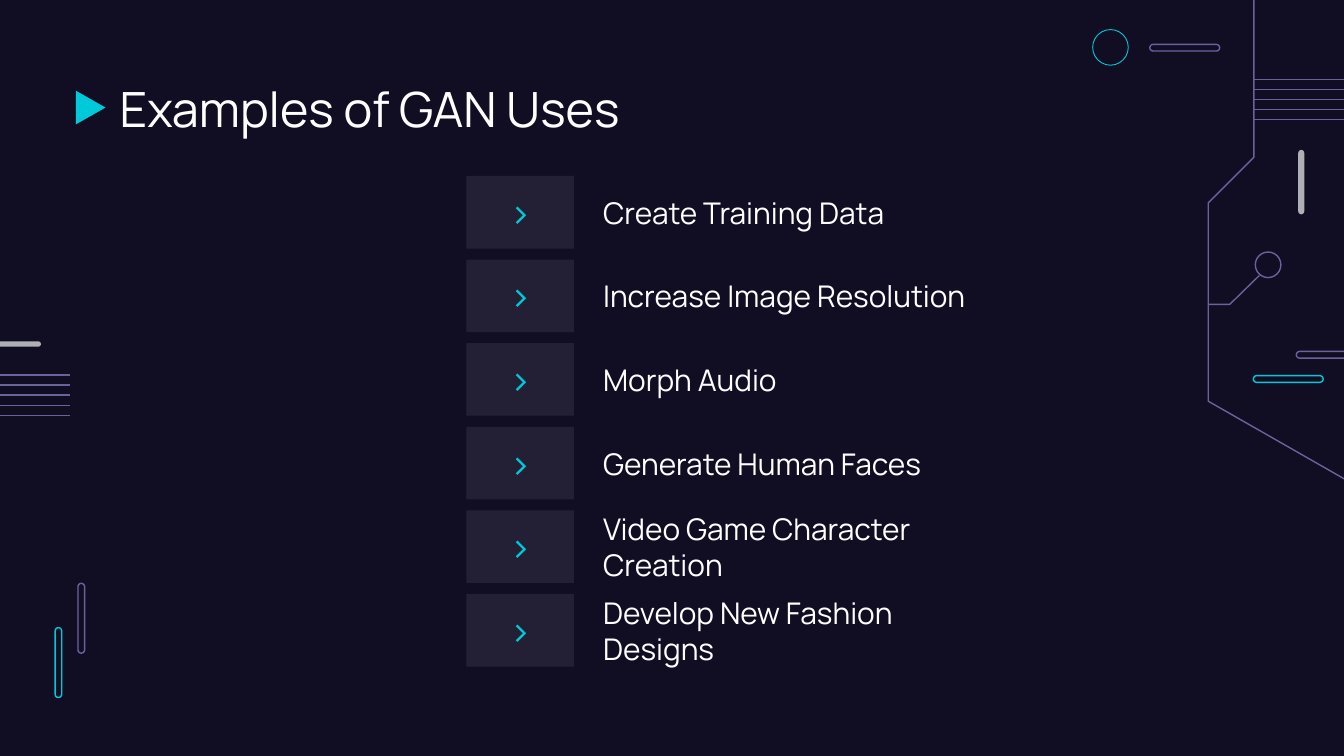
"""Build the slide listing uses of GANs on a dark circuit-style backdrop."""
from typing import NamedTuple, Optional

from lxml import etree
from pptx import Presentation
from pptx import util as u
from pptx.dml.color import RGBColor
from pptx.enum import shapes, text
from pptx.oxml import ns

WIDTH = u.Inches(10)
HEIGHT = WIDTH * 9 // 16
FONT = "Manrope"
NIGHT, CYAN, VIOLET, GREY, WHITE = "110E24", "00CADA", "69639C", "AFAFB6", "FFFFFF"
KIND = shapes.MSO_SHAPE

USES = [
    "Create Training Data",
    "Increase Image Resolution",
    "Morph Audio",
    "Generate Human Faces",
    "Video Game Character Creation",
    "Develop New Fashion Designs",
]
ROW_TOP, ROW_PITCH, ROW_HEIGHT = 13.1, 6.22, 5.4
MARK_LEFT, MARK_WIDTH, USE_LEFT, USE_WIDTH = 34.7, 8, 43.9, 29.7


class Box(NamedTuple):
    """A rectangle in hundredths of the slide width."""

    left: float
    top: float
    width: float
    height: float


class Ornament(NamedTuple):
    """A backdrop shape, filled or outlined."""

    kind: int
    box: Box
    fill: Optional[str] = None
    line: Optional[str] = None
    weight: float = 0.75
    turn: float = 0


class Stripes(NamedTuple):
    """A run of evenly spaced horizontal lines."""

    start: float
    end: float
    top: float


ORNAMENTS = [
    Ornament(KIND.ROUNDED_RECTANGLE, Box(4.1, 46.7, 0.5, 5.2), line=CYAN),
    Ornament(KIND.ROUNDED_RECTANGLE, Box(5.8, 43.4, 0.5, 5.2), line=VIOLET),
    Ornament(KIND.ROUNDED_RECTANGLE, Box(93.25, 27.95, 5.2, 0.5), line=CYAN),
    Ornament(KIND.ROUNDED_RECTANGLE, Box(96.45, 26.15, 5.2, 0.5), line=VIOLET),
    Ornament(KIND.ROUNDED_RECTANGLE, Box(85.55, 3.3, 5.2, 0.5), line=VIOLET),
    Ornament(KIND.OVAL, Box(81.3, 2.2, 2.65, 2.65), line=CYAN, weight=0.47),
    Ornament(KIND.OVAL, Box(93.4, 18.75, 1.9, 1.9), line=VIOLET),
    Ornament(KIND.ROUNDED_RECTANGLE, Box(96.6, 11.15, 0.45, 4.8), fill=GREY),
    Ornament(KIND.ROUNDED_RECTANGLE, Box(-1.8, 25.4, 4.85, 0.4), fill=GREY),
    Ornament(KIND.FLOWCHART_MERGE, Box(5.5, 6.9, 2.5, 2.2), fill=CYAN, turn=270),
]
CIRCUITS = [
    [(93.7, 20.5), (91.5, 22.65), (89.9, 22.65)],
    [(101.2, 36.3), (89.9, 29.85), (89.9, 15.1), (93.3, 11.7), (93.3, -0.6)],
]
STRIPES = [Stripes(93.3, 108, 5.9), Stripes(5.2, -6.1, 27.9)]
STRIPE_COUNT, STRIPE_GAP = 5, 0.75


def pc(share: float) -> int:
    """Turn hundredths of the slide width into a length."""
    return round(WIDTH * share / 100)


def rgb(value: str) -> RGBColor:
    """Turn a hex string into a colour."""
    return RGBColor.from_string(value)


def paint(sp, fill: Optional[str], line: Optional[str], weight: float = 0.75) -> None:
    """Give a shape its fill and outline, and take away its shadow."""
    sp.shadow.inherit = False
    for part, colour in ((sp.fill, fill), (sp.line.fill, line)):
        if colour:
            part.solid()
            part.fore_color.rgb = rgb(colour)
        else:
            part.background()
    if line:
        sp.line.width = u.Pt(weight)


def write(sp, words: str, size: float, colour: str, align=text.PP_ALIGN.LEFT) -> None:
    """Put one formatted paragraph, centred vertically, into a shape."""
    tf = sp.text_frame
    frame = {
        "word_wrap": True,
        "auto_size": text.MSO_AUTO_SIZE.NONE,
        "vertical_anchor": text.MSO_ANCHOR.MIDDLE,
    }
    frame.update({f"margin_{side}": pc(1) for side in ("left", "top", "right", "bottom")})
    for name, value in frame.items():
        setattr(tf, name, value)
    p = tf.paragraphs[0]
    p.alignment = align
    r = p.add_run()
    r.text = words
    for name, value in {"name": FONT, "size": u.Pt(size), "bold": False}.items():
        setattr(r.font, name, value)
    r.font.color.rgb = rgb(colour)


def draw_ornament(s, item: Ornament) -> None:
    """Draw one backdrop shape."""
    sp = s.shapes.add_shape(item.kind, *map(pc, item.box))
    if item.kind == KIND.ROUNDED_RECTANGLE:
        sp.adjustments[0] = 0.5
    sp.rotation = item.turn
    paint(sp, item.fill, item.line, item.weight)


def draw_circuit(s, points: list) -> None:
    """Draw an open polyline through the points."""
    first, *rest = [(pc(x), pc(y)) for x, y in points]
    builder = s.shapes.build_freeform(*first)
    builder.add_line_segments(rest, close=False)
    paint(builder.convert_to_shape(), None, VIOLET)


def draw_stripes(s, stripes: Stripes) -> None:
    """Draw a run of horizontal lines."""
    for i in range(STRIPE_COUNT):
        y = pc(stripes.top + i * STRIPE_GAP)
        line = s.shapes.add_connector(
            shapes.MSO_CONNECTOR.STRAIGHT, pc(stripes.start), y, pc(stripes.end), y
        )
        line.line.color.rgb = rgb(VIOLET)
        line.line.width = u.Pt(0.75)
        etree.SubElement(line._element.spPr, ns.qn("a:effectLst"))


def draw_use(s, row: int, words: str) -> None:
    """Draw one row of the list: a translucent marker and its label."""
    top = ROW_TOP + row * ROW_PITCH
    mark = s.shapes.add_shape(
        KIND.RECTANGLE, *map(pc, Box(MARK_LEFT, top, MARK_WIDTH, ROW_HEIGHT))
    )
    paint(mark, WHITE, None)
    tint = mark._element.spPr.find(ns.qn("a:solidFill"))[0]
    etree.SubElement(tint, ns.qn("a:alpha"), val="8000")
    write(mark, ">", 20, CYAN, text.PP_ALIGN.CENTER)
    label = s.shapes.add_textbox(*map(pc, Box(USE_LEFT, top, USE_WIDTH, ROW_HEIGHT)))
    write(label, words, 16, WHITE)


def main() -> None:
    """Build and save the presentation."""
    prs = Presentation()
    prs.slide_width, prs.slide_height = WIDTH, HEIGHT
    s = prs.slides.add_slide(prs.slide_layouts.get_by_name("Title Only"))
    s.background.fill.solid()
    s.background.fill.fore_color.rgb = rgb(NIGHT)
    for item in ORNAMENTS:
        draw_ornament(s, item)
    for points in CIRCUITS:
        draw_circuit(s, points)
    for stripes in STRIPES:
        draw_stripes(s, stripes)
    title = s.shapes.title
    for name, share in Box(7.9, 4.9, 84.3, 6.3)._asdict().items():
        setattr(title, name, pc(share))
    write(title, "Examples of GAN Uses", 26, WHITE)
    for row, words in enumerate(USES):
        draw_use(s, row, words)
    prs.save("out.pptx")


if __name__ == "__main__":
    main()
